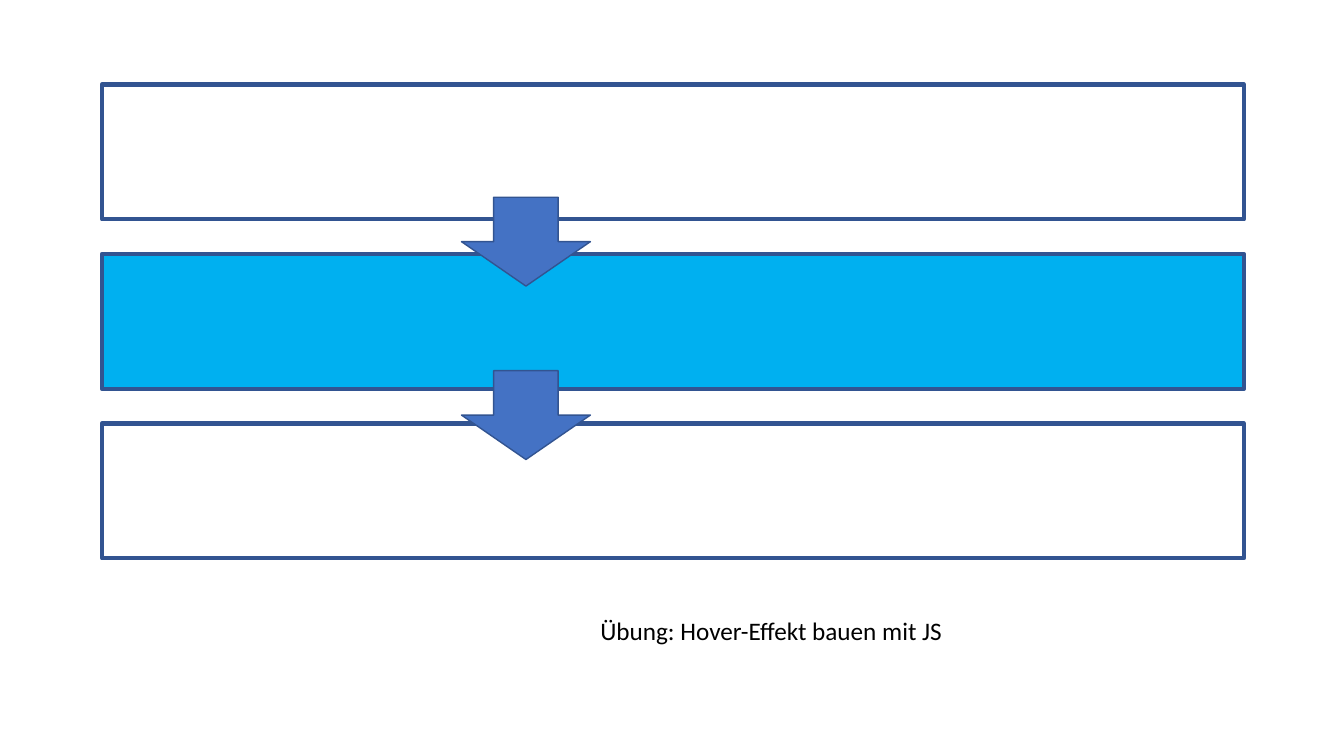
import dataclasses

import pptx
import pptx.dml.color
import pptx.enum.shapes
import pptx.enum.text
import pptx.util

Cm = pptx.util.Cm
Pt = pptx.util.Pt
MSO_SHAPE = pptx.enum.shapes.MSO_SHAPE


@dataclasses.dataclass(frozen=True)
class Theme:
    outline: str = "325491"
    highlight: str = "00B0F0"
    arrow: str = "4472C4"
    text: str = "000000"
    font: str = "Calibri"
    caption_size: int = 18
    bar_line: int = 3
    arrow_line: int = 1


THEME = Theme()


def color(value):
    return pptx.dml.color.RGBColor.from_string(value)


def apply_format(target, values):
    for name, value in values.items():
        setattr(target, name, value)


def add_outlined_shape(slide, kind, left, top, width, height, fill, line_width):
    shape = slide.shapes.add_shape(kind, Cm(left), Cm(top), Cm(width), Cm(height))
    shape.shadow.inherit = False
    if fill:
        shape.fill.solid()
        shape.fill.fore_color.rgb = color(fill)
    else:
        shape.fill.background()
    shape.line.color.rgb = color(THEME.outline)
    shape.line.width = Pt(line_width)


def add_bar(slide, row, fill):
    add_outlined_shape(slide, MSO_SHAPE.RECTANGLE, 2.57, 2.13 + row * 4.27,
                       28.78, 3.4, fill, THEME.bar_line)


def add_arrow(slide, row):
    add_outlined_shape(slide, MSO_SHAPE.DOWN_ARROW, 11.63, 4.97 + row * 4.37,
                       3.25, 2.24, THEME.arrow, THEME.arrow_line)


def add_caption(slide, text, left, top, width, height):
    box = slide.shapes.add_textbox(Cm(left), Cm(top), Cm(width), Cm(height))
    apply_format(box.text_frame, {
        "word_wrap": True,
        "auto_size": pptx.enum.text.MSO_AUTO_SIZE.SHAPE_TO_FIT_TEXT,
    })
    run = box.text_frame.paragraphs[0].add_run()
    run.text = text
    apply_format(run.font, {"name": THEME.font, "size": Pt(THEME.caption_size)})
    run.font.color.rgb = color(THEME.text)


def main():
    presentation = pptx.Presentation()
    apply_format(presentation, {"slide_width": Cm(33.87), "slide_height": Cm(19.05)})
    slide = presentation.slides.add_slide(presentation.slide_layouts.get_by_name("Blank"))
    for row, fill in enumerate((None, THEME.highlight, None)):
        add_bar(slide, row, fill)
    for row in range(2):
        add_arrow(slide, row)
    add_caption(slide, "Übung: Hover-Effekt bauen mit JS", 14.88, 15.37, 12.34, 1.02)
    presentation.save("out.pptx")


if __name__ == "__main__":
    main()
